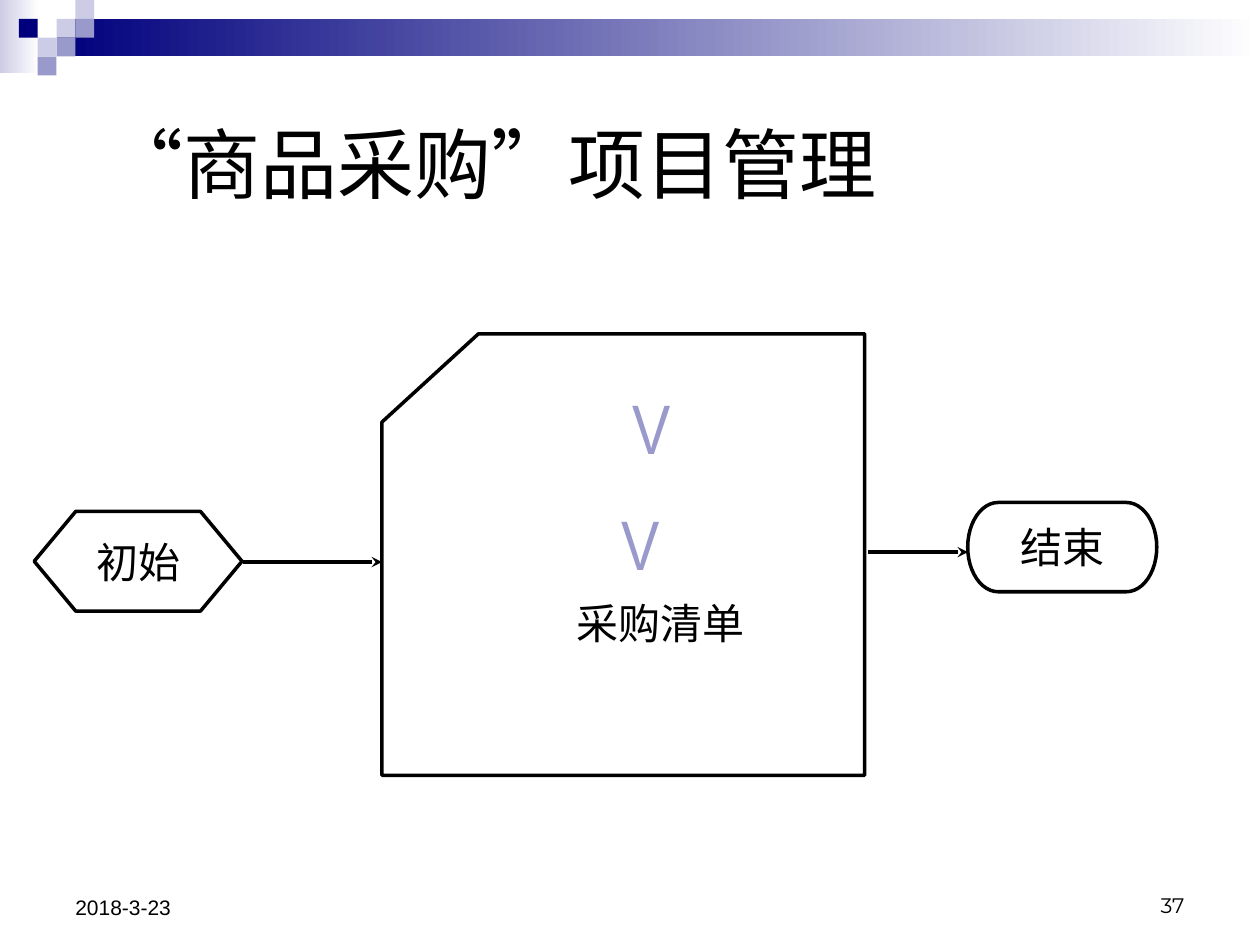
import pptx
import pptx.util
import pptx.dml.color
import pptx.enum.dml
import pptx.enum.lang
import pptx.enum.shapes
import pptx.enum.text
import pptx.oxml
import pptx.oxml.ns

Cm, Pt = pptx.util.Cm, pptx.util.Pt
SHAPE = pptx.enum.shapes.MSO_SHAPE
ALIGN = pptx.enum.text.PP_ALIGN
ANCHOR = pptx.enum.text.MSO_ANCHOR
BLACK, NAVY, LILAC, PALE, WHITE = "000000", "00007D", "9999CC", "CCCCE6", "FFFFFF"


def rgb(value):
    return pptx.dml.color.RGBColor.from_string(value)


def set_text(s, text, size, font, color=BLACK, align=ALIGN.LEFT, anchor=ANCHOR.TOP):
    tf = s.text_frame
    tf.text = text
    tf.word_wrap = True
    tf.vertical_anchor = anchor
    p = tf.paragraphs[0]
    p.alignment = align
    r = p.runs[0]
    r.font.size, r.font.name = Pt(size), font
    r.font.color.rgb = rgb(color)
    r.font.language_id = pptx.enum.lang.MSO_LANGUAGE_ID.SIMPLIFIED_CHINESE
    return tf


def add_label(slide, x, y, w, h, text, size, font, **style):
    s = slide.shapes.add_textbox(Cm(x), Cm(y), Cm(w), Cm(h))
    return set_text(s, text, size, font, **style)


def add_block(slide, x, y, w, h, color, fade_to=None):
    """Borderless rectangle, solid or fading from left to right."""
    s = slide.shapes.add_shape(SHAPE.RECTANGLE, Cm(x), Cm(y), Cm(w), Cm(h))
    s.shadow.inherit = False
    s.line.fill.background()
    if fade_to:
        s.fill.gradient()
        s.fill.gradient_angle = 0
        for stop, value in zip(s.fill.gradient_stops, (color, fade_to)):
            stop.color.rgb = rgb(value)
    else:
        s.fill.solid()
        s.fill.fore_color.rgb = rgb(color)


def add_node(slide, kind, x, y, w, h, text):
    """Outlined flowchart step."""
    s = slide.shapes.add_shape(kind, Cm(x), Cm(y), Cm(w), Cm(h))
    s.shadow.inherit = False
    s.fill.background()
    s.line.color.rgb = rgb(BLACK)
    s.line.width = Pt(2)
    return set_text(s, text, 24, "Arial Narrow", align=ALIGN.CENTER, anchor=ANCHOR.MIDDLE)


def add_arrow(slide, x1, x2, y):
    s = slide.shapes.add_connector(pptx.enum.shapes.MSO_CONNECTOR.STRAIGHT,
                                   Cm(x1), Cm(y), Cm(x2), Cm(y))
    s.line.color.rgb = rgb(BLACK)
    s.line.width = Pt(2)
    ns = pptx.oxml.ns.nsdecls("a")
    s.line._get_or_add_ln().append(pptx.oxml.parse_xml(f'<a:tailEnd {ns} type="stealth"/>'))
    s._element.spPr.append(pptx.oxml.parse_xml(f"<a:effectLst {ns}/>"))


def add_header(slide):
    add_block(slide, 0, 0, 0.79, 1.47, PALE, WHITE)
    add_block(slide, 1.14, 0.38, 24.26, 0.76, NAVY, WHITE)
    # Squares as column, row, colour on a common grid
    side = 0.38
    for col, row, color in ((3, 1, PALE), (4, 0, PALE), (4, 1, LILAC), (2, 2, PALE),
                            (1, 1, NAVY), (3, 2, LILAC), (2, 3, LILAC)):
        add_block(slide, col * side, row * side, side, side, color)


def add_flow(slide):
    # Purchase list card, its caption moved right and down
    tf = add_node(slide, SHAPE.FLOWCHART_CARD, 7.7, 6.73, 9.73, 8.9, "采购清单")
    tf.margin_left, tf.margin_top = Cm(1.75), Cm(1.1)

    # Check marks
    for x, y in ((9.96, 7.62), (9.73, 9.96)):
        add_label(slide, x, y, 3.81, 1.96, "V", 40, "Arial Narrow",
                  color=LILAC, align=ALIGN.RIGHT)

    # Start and end
    add_node(slide, SHAPE.FLOWCHART_TERMINATOR, 19.51, 10.13, 3.81, 1.8, "结束")
    add_node(slide, SHAPE.FLOWCHART_PREPARATION, 0.69, 10.31, 4.19, 2.01, "初始")
    add_arrow(slide, 4.9, 7.7, 11.33)
    add_arrow(slide, 17.5, 19.51, 11.13)


def main():
    prs = pptx.Presentation()
    prs.slide_width, prs.slide_height = Cm(25.4), Cm(19.05)
    slide = prs.slides.add_slide(prs.slide_layouts[6])
    add_header(slide)

    # Footer
    add_label(slide, 18.21, 17.35, 5.92, 1.27, "37", 12, "Montserrat",
              align=ALIGN.RIGHT, anchor=ANCHOR.BOTTOM)
    add_label(slide, 1.27, 17.35, 5.92, 1.32, "2018-3-23", 12, "Arial", anchor=ANCHOR.BOTTOM)

    # Title
    add_label(slide, 1.9, 1.7, 21.59, 3.18, "“商品采购”项目管理", 44, "Arial",
              anchor=ANCHOR.MIDDLE)
    add_flow(slide)
    prs.save("out.pptx")


if __name__ == "__main__":
    main()
